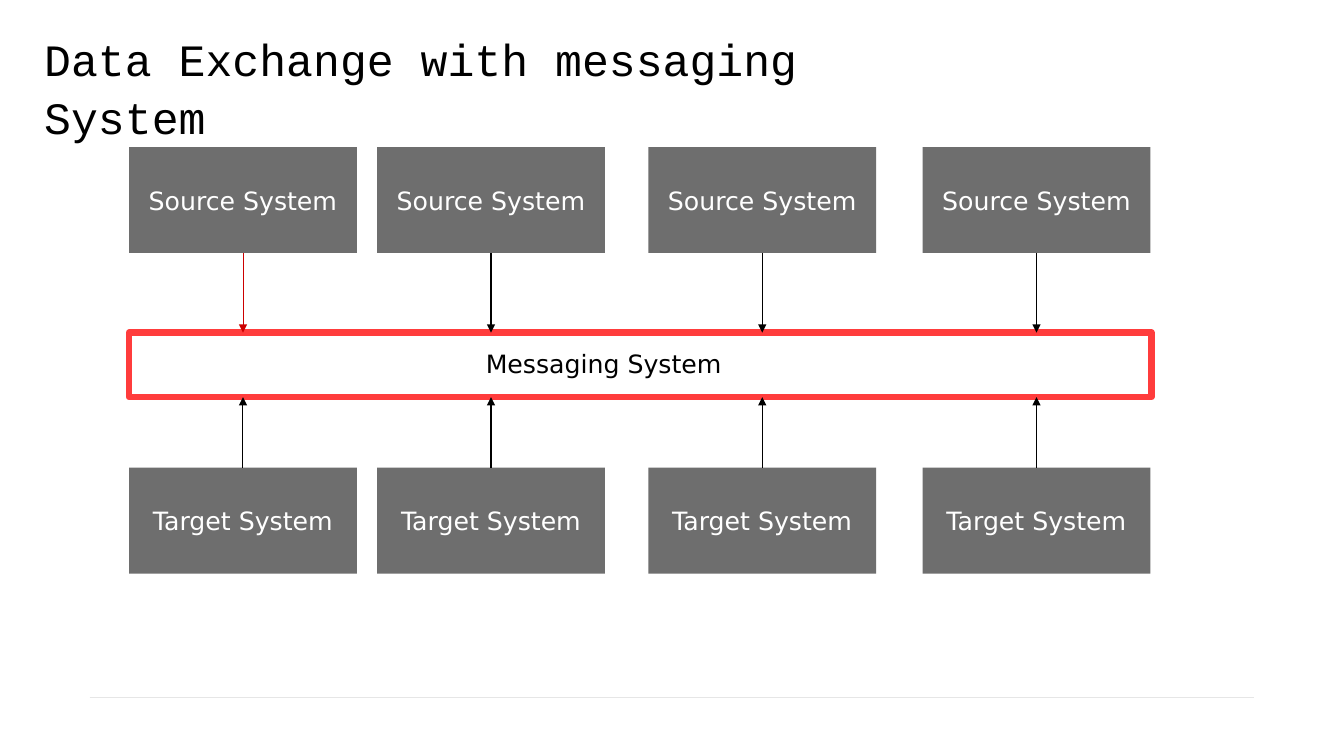
"""Build a slide showing data exchange through a messaging system."""
from dataclasses import dataclass

from lxml import etree
from pptx import Presentation
from pptx import util as u
from pptx.dml.color import RGBColor
from pptx.enum import shapes, text
from pptx.oxml import ns

BLACK = RGBColor(0x00, 0x00, 0x00)
WHITE = RGBColor(0xFF, 0xFF, 0xFF)
GREY = RGBColor(0x6E, 0x6E, 0x6E)
PALE = RGBColor(0xE6, 0xE6, 0xE6)
RED = RGBColor(0xFF, 0x3C, 0x3C)
DARK_RED = RGBColor(0xCC, 0x00, 0x00)

BOX_WIDTH, BOX_HEIGHT = 2.26, 1.05
BAR_LEFT, BAR_TOP, BAR_WIDTH, BAR_HEIGHT = 1.28, 3.3, 10.14, 0.64
BOTTOM_SIDE, TOP_SIDE = 2, 0


@dataclass(frozen=True)
class Column:
    left: float
    source_color: RGBColor = BLACK
    source_weight: float = 0.75


@dataclass(frozen=True)
class Row:
    label: str
    top: float
    side: int
    bar_edge: float


COLUMNS = [Column(1.28, DARK_RED, 0.5), Column(3.74), Column(6.43), Column(9.15)]
SOURCE = Row("Source System", 1.46, BOTTOM_SIDE, BAR_TOP)
TARGET = Row("Target System", 4.64, TOP_SIDE, BAR_TOP + BAR_HEIGHT)


def style_text(frame, content: str, font: str, size: float, color: RGBColor) -> None:
    """Write one paragraph and format its run."""
    frame.text = content
    span = frame.paragraphs[0].runs[0]
    span.font.name = font
    span.font.size = u.Pt(size)
    span.font.color.rgb = color


def add_label(page, left: float, top: float, width: float, height: float,
              content: str, font: str, size: float):
    """Add a black text box and return its frame."""
    box = page.shapes.add_textbox(u.Inches(left), u.Inches(top), u.Inches(width), u.Inches(height))
    style_text(box.text_frame, content, font, size, BLACK)
    return box.text_frame


def add_rectangle(page, left: float, top: float, width: float, height: float):
    """Add a rectangle without a shadow."""
    box = page.shapes.add_shape(shapes.MSO_SHAPE.RECTANGLE, u.Inches(left), u.Inches(top),
                                u.Inches(width), u.Inches(height))
    box.shadow.inherit = False
    return box


def add_system(page, column: Column, row: Row):
    """Add one grey system box."""
    box = add_rectangle(page, column.left, row.top, BOX_WIDTH, BOX_HEIGHT)
    box.fill.solid()
    box.fill.fore_color.rgb = GREY
    box.line.fill.background()
    style_text(box.text_frame, row.label, "DejaVu Sans", 18, WHITE)
    box.text_frame.vertical_anchor = text.MSO_ANCHOR.MIDDLE
    box.text_frame.paragraphs[0].alignment = text.PP_ALIGN.CENTER
    return box


def add_line(page, start: tuple[float, float], end: tuple[float, float],
             color: RGBColor, weight: float):
    """Add a straight line without a shadow."""
    line = page.shapes.add_connector(shapes.MSO_CONNECTOR.STRAIGHT,
                                     *(u.Inches(value) for value in (*start, *end)))
    line.line.color.rgb = color
    line.line.width = u.Pt(weight)
    etree.SubElement(line._element.spPr, ns.qn("a:effectLst"))
    return line


def add_arrow(page, box, column: Column, row: Row) -> None:
    """Join a system box to the messaging bar with an arrow."""
    middle = column.left + BOX_WIDTH / 2
    start = row.top + (BOX_HEIGHT if row.side == BOTTOM_SIDE else 0)
    color, weight = BLACK, 0.75
    if row == SOURCE:
        color, weight = column.source_color, column.source_weight
    arrow = add_line(page, (middle, start), (middle, row.bar_edge), color, weight)
    arrow.begin_connect(box, row.side)
    etree.SubElement(arrow.line._get_or_add_ln(), ns.qn("a:tailEnd"), type="triangle")


def main() -> None:
    """Build and save the deck."""
    deck = Presentation()
    deck.slide_width, deck.slide_height = u.Inches(13.33), u.Inches(7.5)
    page = deck.slides.add_slide(deck.slide_layouts[6])

    add_line(page, (0.89, 6.92), (12.44, 6.92), PALE, 0.25)
    title = add_label(page, 0.34, 0.17, 8.85, 0.64,
                      "Data Exchange with messaging System", "Courier New", 32)
    title.word_wrap = True
    title.margin_top = u.Inches(0.1)
    title.paragraphs[0].line_spacing = 1.08

    systems = [(add_system(page, column, row), column, row)
               for column in COLUMNS for row in (SOURCE, TARGET)]

    bar = add_rectangle(page, BAR_LEFT, BAR_TOP, BAR_WIDTH, BAR_HEIGHT)
    bar.fill.background()
    bar.line.color.rgb = RED
    bar.line.width = u.Pt(4.5)
    add_label(page, 4.72, 3.41, 2.56, 0.4, "Messaging System", "DejaVu Sans", 18)

    for box, column, row in systems:
        add_arrow(page, box, column, row)

    deck.save("out.pptx")


if __name__ == "__main__":
    main()
